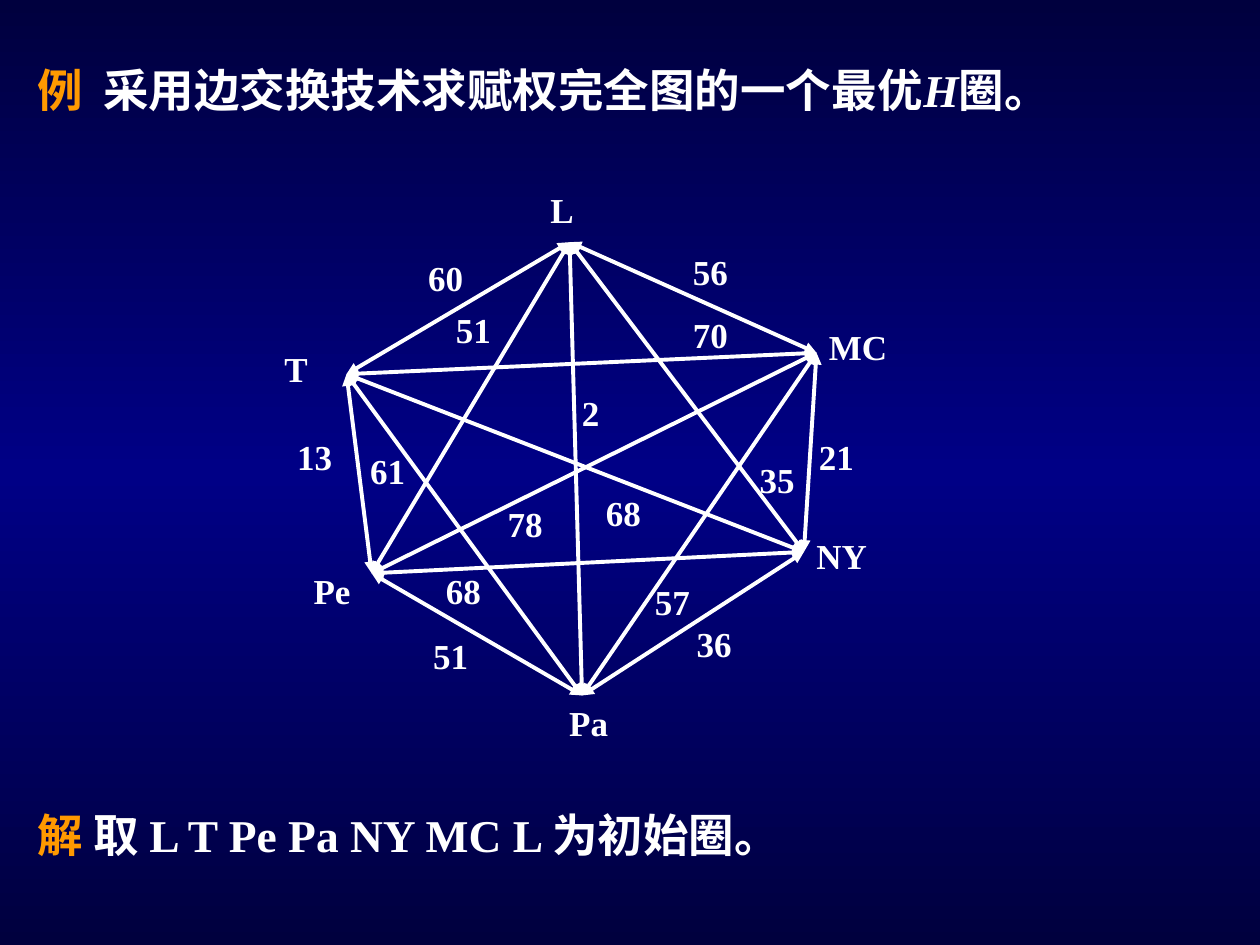
from copy import deepcopy
from dataclasses import dataclass

from lxml import etree
from pptx import Presentation
from pptx.dml.color import RGBColor
from pptx.enum.shapes import MSO_CONNECTOR
from pptx.oxml.ns import qn
from pptx.util import Pt

STRAIGHT = MSO_CONNECTOR.STRAIGHT


@dataclass(frozen=True)
class Theme:
    edge_color: RGBColor = RGBColor(0x00, 0x00, 0x3E)
    middle_color: RGBColor = RGBColor(0x00, 0x00, 0x86)
    text: RGBColor = RGBColor(0xFF, 0xFF, 0xFF)
    accent: RGBColor = RGBColor(0xFF, 0x99, 0x00)
    latin: str = "Times New Roman"
    chinese: str = "Noto Sans CJK SC"
    statement_size: int = 26
    label_size: int = 20
    edge_width: float = 2.25


THEME = Theme()


def add_text(shapes, runs, left, top, width, height=31.7, size=THEME.label_size, tab=None):
    """Add a bold one-paragraph box; each run is (text, font name, colour, italic)."""
    box = shapes.add_textbox(Pt(left), Pt(top), Pt(width), Pt(height))
    box.text_frame.word_wrap = True
    paragraph = box.text_frame.paragraphs[0]
    if tab:
        properties = paragraph._p.get_or_add_pPr()
        tab_list = etree.SubElement(properties, qn("a:tabLst"))
        etree.SubElement(tab_list, qn("a:tab"), pos=str(Pt(tab)), algn="l")
    for text, font_name, color, italic in runs:
        run = paragraph.add_run()
        run.text = text
        run.font.name = font_name
        run.font.size = Pt(size)
        run.font.bold = True
        run.font.italic = italic
        run.font.color.rgb = color
        latin = run.font._element.find(qn("a:latin"))
        east_asian = etree.Element(qn("a:ea"), typeface=THEME.chinese)
        latin.addnext(east_asian)


presentation = Presentation()
presentation.slide_width = Pt(720)
presentation.slide_height = Pt(540)
slide = presentation.slides.add_slide(presentation.slide_layouts[6])

# Vertical gradient: dark, bright in the middle, dark
fill = slide.background.fill
fill.gradient()
fill.gradient_angle = 90
first_stop = slide.element.find(".//" + qn("a:gs"))
first_stop.addnext(deepcopy(first_stop))
stop_colors = (THEME.edge_color, THEME.middle_color, THEME.edge_color)
for stop, position, color in zip(fill.gradient_stops, (0, 0.5, 1), stop_colors):
    stop.position = position
    stop.color.rgb = color

add_text(slide.shapes, [
    ("例\t", THEME.latin, THEME.accent, False),
    ("采用边交换技术求赋权完全图的一个最优", THEME.latin, THEME.text, False),
    ("H", THEME.latin, THEME.text, True),
    ("圈。", THEME.latin, THEME.text, False),
], 14.4, 31.7, 680.4, height=38.9, size=THEME.statement_size, tab=37.5)

# City: vertex x, y, then label left, top, width
cities = {
    "L": (325.5, 138.4, 307.5, 104.4, 44),
    "T": (198, 213.8, 155.5, 195.1, 72),
    "MC": (466.6, 201.6, 466.6, 182.2, 57.6),
    "Pe": (212.4, 327.6, 172.1, 321.8, 72),
    "NY": (459.4, 315.4, 459.4, 301.7, 64.8),
    "Pa": (332.6, 397.4, 318.2, 397.4, 72),
}

# Edge: start, end, weight, then label left, top
edges = [
    ("L", "Pa", 2, 325.5, 220.3),
    ("L", "T", 60, 237.6, 143.3),
    ("L", "MC", 56, 388.8, 139.7),
    ("T", "Pe", 13, 162.7, 245.5),
    ("MC", "NY", 21, 460.8, 245.5),
    ("Pe", "Pa", 51, 240.5, 359.3),
    ("NY", "Pa", 36, 391, 352.1),
    ("L", "Pe", 51, 253.4, 172.8),
    ("L", "NY", 35, 427, 258.5),
    ("T", "MC", 70, 388.8, 175.7),
    ("T", "NY", 68, 339.1, 277.2),
    ("T", "Pa", 61, 204.5, 253.4),
    ("MC", "Pe", 78, 283, 283.7),
    ("MC", "Pa", 57, 367.2, 328.3),
    ("Pe", "NY", 68, 247.7, 321.8),
]

graph = slide.shapes.add_group_shape()
for start, end, *_ in edges:
    x1, y1 = cities[start][:2]
    x2, y2 = cities[end][:2]
    connector = graph.shapes.add_connector(STRAIGHT, Pt(x1), Pt(y1), Pt(x2), Pt(y2))
    connector.line.color.rgb = THEME.text
    connector.line.width = Pt(THEME.edge_width)
    line = connector.line._get_or_add_ln()
    for arrow in ("a:headEnd", "a:tailEnd"):
        etree.SubElement(line, qn(arrow), type="triangle")
    etree.SubElement(connector._element.spPr, qn("a:effectLst"))

for *_, weight, left, top in edges:
    add_text(graph.shapes, [(str(weight), THEME.latin, THEME.text, False)], left, top, 44)

for city, (*_, left, top, width) in cities.items():
    add_text(graph.shapes, [(city, THEME.latin, THEME.text, False)], left, top, width)

add_text(slide.shapes, [
    ("解", THEME.chinese, THEME.accent, False),
    (" 取 ", THEME.chinese, THEME.text, False),
    ("L T Pe Pa NY MC L ", THEME.latin, THEME.text, False),
    ("为初始圈。", THEME.chinese, THEME.text, False),
], 14.4, 457.9, 617.8, height=38.9, size=THEME.statement_size)

presentation.save("out.pptx")
